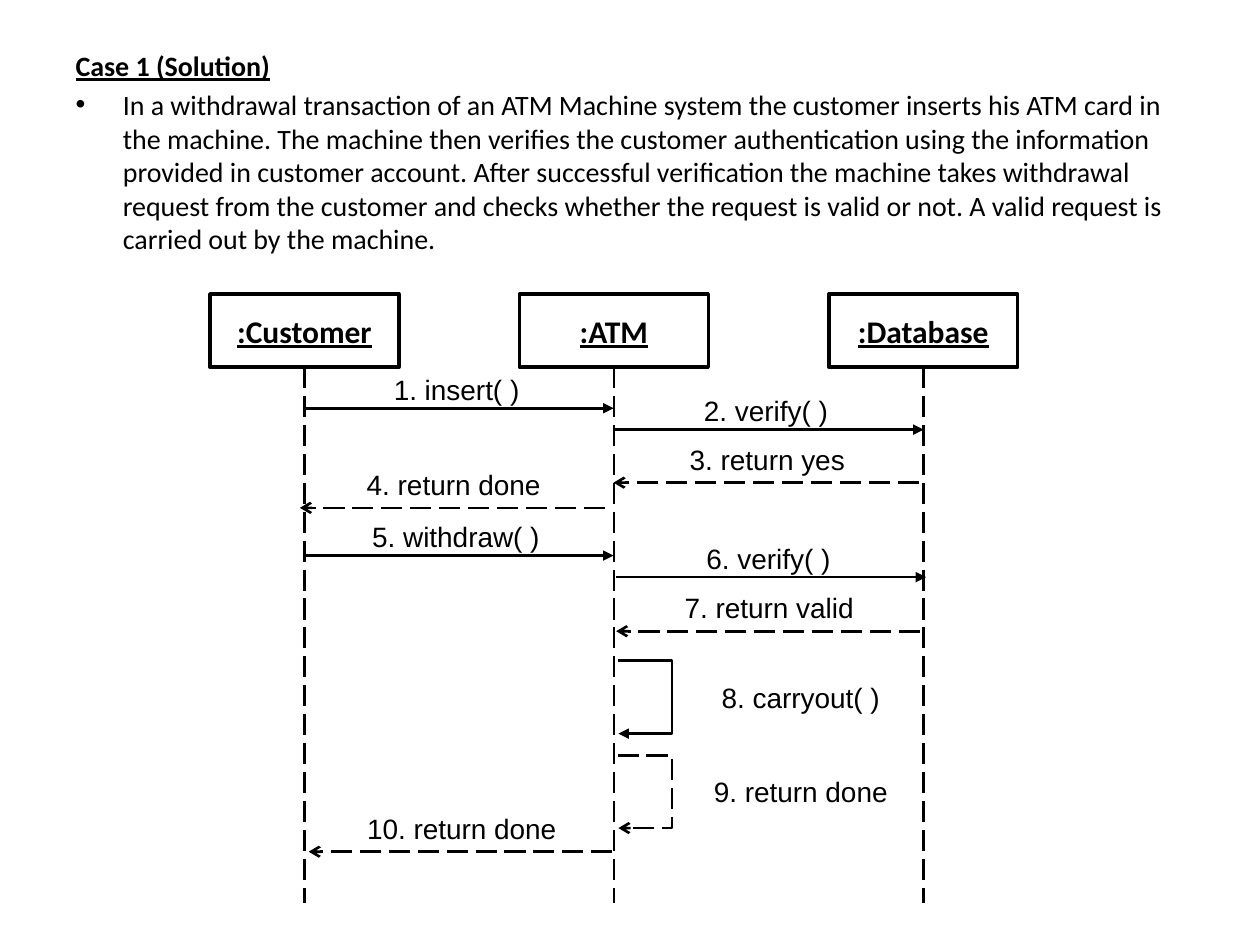
from lxml import etree
from pptx import Presentation
from pptx.dml.color import RGBColor
from pptx.enum.dml import MSO_LINE
from pptx.enum.shapes import MSO_CONNECTOR, MSO_SHAPE
from pptx.enum.text import MSO_ANCHOR, MSO_AUTO_SIZE, PP_ALIGN
from pptx.oxml.ns import qn
from pptx.util import Pt

RECTANGLE = MSO_SHAPE.RECTANGLE
STRAIGHT = MSO_CONNECTOR.STRAIGHT
LONG_DASH = MSO_LINE.LONG_DASH
MIDDLE = MSO_ANCHOR.MIDDLE
CENTER = PP_ALIGN.CENTER
FIXED_SIZE = MSO_AUTO_SIZE.NONE

BLACK = "000000"
HEADING = "Case 1 (Solution)"
SCENARIO = (
    "In a withdrawal transaction of an ATM Machine system the customer inserts his ATM card in "
    "the machine. The machine then verifies the customer authentication using the information "
    "provided in customer account. After successful verification the machine takes withdrawal "
    "request from the customer and checks whether the request is valid or not. A valid request "
    "is carried out by the machine."
)
PARTICIPANTS = [":Customer", ":ATM", ":Database"]
CALLS = [
    ("1. insert( )", 174.2, 350.6, 233.3),
    ("2. verify( )", 350.6, 527.8, 245.5),
    ("5. withdraw( )", 173.5, 350.6, 317.5),
    ("6. verify( )", 352.1, 529.2, 329.8),
]
RETURNS = [
    ("3. return yes", 524.9, 350.6, 275.8),
    ("4. return done", 345.6, 171.4, 290.2),
    ("7. return valid", 525.6, 352.1, 360.7),
    ("10. return done", 349.9, 176.4, 486.7),
]
SELF_MESSAGES = [("8. carryout( )", 377.6, False), ("9. return done", 431.6, True)]

HEAD_LEFT, HEAD_TOP, HEAD_WIDTH, HEAD_HEIGHT = 120, 168, 108, 41.8
LIFELINE_GAP, LIFELINE_END = 176.8, 516
LABEL_WIDTH, LABEL_HEIGHT = 168, 26.64
LOOP_LEFT, LOOP_WIDTH, LOOP_HEIGHT = 352.9, 31, 41.6


def color(value):
    return RGBColor.from_string(value)


def set_font(paragraph, name, size, emphasis=False):
    font = paragraph.font
    font.name, font.size = name, Pt(size)
    font.bold = font.underline = emphasis
    font.color.rgb = color(BLACK)


def set_line(shape, width=1.5, dashed=False, arrow=None):
    shape.line.color.rgb = color(BLACK)
    shape.line.width = Pt(width)
    if dashed:
        shape.line.dash_style = LONG_DASH
    if arrow:
        etree.SubElement(shape.line._get_or_add_ln(), qn("a:tailEnd"), type=arrow)


def set_bullet(paragraph, indent, char=None):
    properties = paragraph._p.get_or_add_pPr()
    properties.set("marL", str(Pt(indent)))
    properties.set("indent", str(-Pt(indent)))
    if char:
        etree.SubElement(properties, qn("a:buFont"), typeface="Arial")
        etree.SubElement(properties, qn("a:buChar"), char=char)
    else:
        etree.SubElement(properties, qn("a:buNone"))


def add_line(shapes, x1, y1, x2, y2, dashed=False, arrow=None):
    line = shapes.add_connector(STRAIGHT, Pt(x1), Pt(y1), Pt(x2), Pt(y2))
    set_line(line, 1.5, dashed, arrow)
    etree.SubElement(line._element.spPr, qn("a:effectLst"))


def add_label(shapes, text, center, top, width=LABEL_WIDTH):
    label = shapes.add_textbox(Pt(center - width / 2), Pt(top), Pt(width), Pt(LABEL_HEIGHT))
    label.text_frame.word_wrap = True
    paragraph = label.text_frame.paragraphs[0]
    paragraph.text, paragraph.alignment = text, CENTER
    set_font(paragraph, "Arial", 16)


def add_scenario(body):
    body.left, body.top, body.width, body.height = Pt(36), Pt(24), Pt(642), Pt(132)
    frame = body.text_frame
    frame.auto_size = FIXED_SIZE
    frame.text = f"{HEADING}\n{SCENARIO}"
    heading, scenario = frame.paragraphs
    set_bullet(heading, 0)
    set_bullet(scenario, 27, "•")
    heading.space_before, scenario.space_before = Pt(0), Pt(3.2)
    set_font(heading, "Calibri", 16, True)
    set_font(scenario, "Calibri", 16)


def add_participant(shapes, name, left):
    head = shapes.add_shape(RECTANGLE, Pt(left), Pt(HEAD_TOP), Pt(HEAD_WIDTH), Pt(HEAD_HEIGHT))
    head.shadow.inherit = False
    head.fill.background()
    set_line(head, 2)
    head.text_frame.vertical_anchor = MIDDLE
    paragraph = head.text_frame.paragraphs[0]
    paragraph.text, paragraph.alignment = name, CENTER
    set_font(paragraph, "Calibri", 18, True)
    center = left + HEAD_WIDTH / 2
    add_line(shapes, center, HEAD_TOP + HEAD_HEIGHT, center, LIFELINE_END, True)


def add_self_message(shapes, text, top, is_return):
    right, bottom = LOOP_LEFT + LOOP_WIDTH, top + LOOP_HEIGHT
    builder = shapes.build_freeform(Pt(LOOP_LEFT), Pt(top))
    corners = [(right, top), (right, bottom), (LOOP_LEFT + 0.5, bottom)]
    builder.add_line_segments([(Pt(x), Pt(y)) for x, y in corners], close=False)
    loop = builder.convert_to_shape()
    loop.shadow.inherit = False
    loop.fill.background()
    set_line(loop, 1.5, is_return, "arrow" if is_return else "triangle")
    add_label(shapes, text, 457.6, top + 7.6, 143.3)


def main():
    """Build the slide with the sequence diagram of an ATM withdrawal."""
    presentation = Presentation()
    presentation.slide_width, presentation.slide_height = Pt(720), Pt(540)
    slide = presentation.slides.add_slide(presentation.slide_layouts[1])
    shapes = slide.shapes
    title = shapes.title._element
    title.getparent().remove(title)
    add_scenario(slide.placeholders[1])
    for index, name in enumerate(PARTICIPANTS):
        add_participant(shapes, name, HEAD_LEFT + index * LIFELINE_GAP)
    styles = [(CALLS, False, "triangle", -1.5, 24), (RETURNS, True, "arrow", 0.7, 26.6)]
    for messages, dashed, arrow, shift, rise in styles:
        for text, start, end, y in messages:
            add_line(shapes, start, y, end, y, dashed, arrow)
            add_label(shapes, text, (start + end) / 2 + shift, y - rise)
    for text, top, is_return in SELF_MESSAGES:
        add_self_message(shapes, text, top, is_return)
    presentation.save("out.pptx")


if __name__ == "__main__":
    main()
